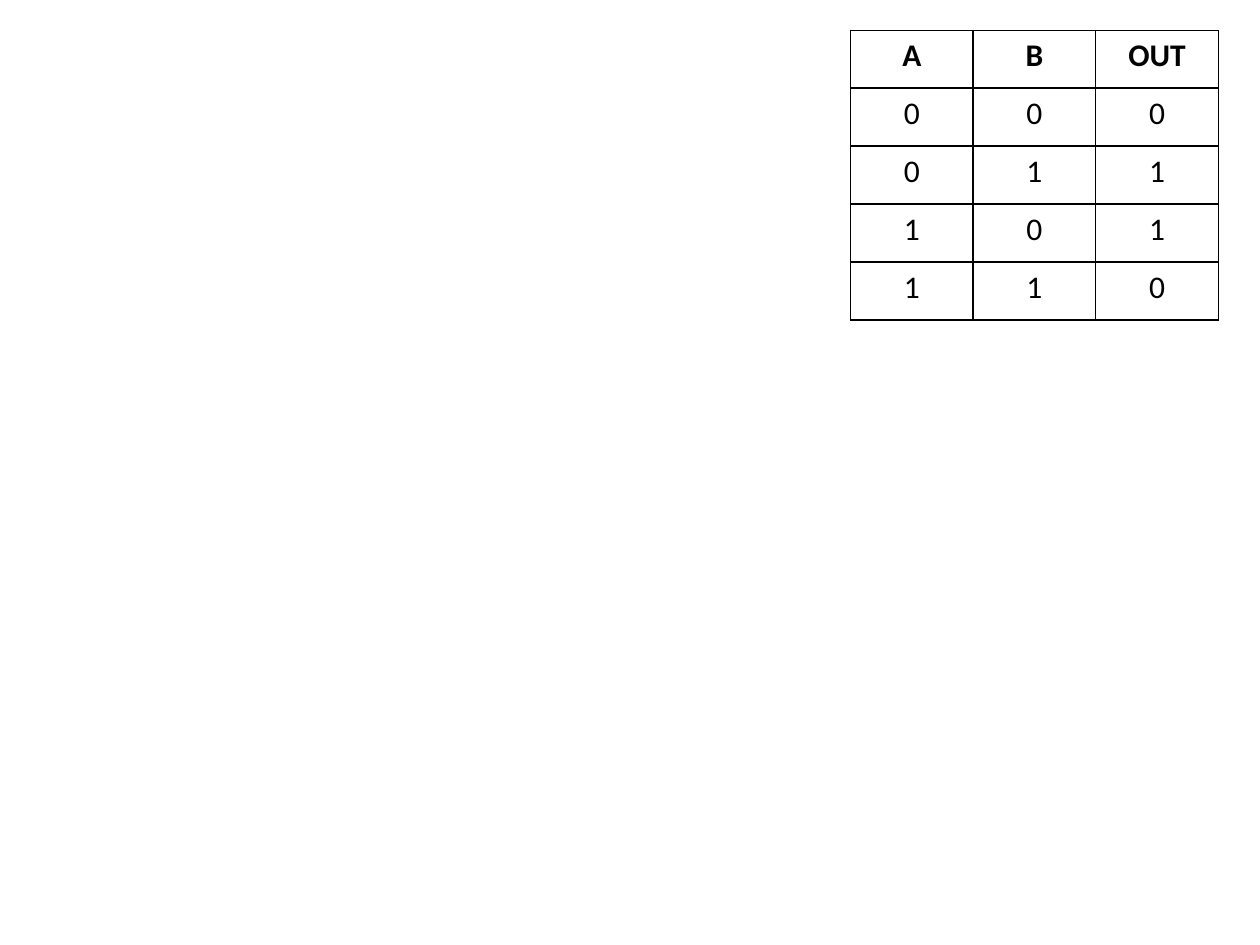
from dataclasses import dataclass

from lxml.etree import SubElement as Sub
from pptx import Presentation
from pptx.dml.color import RGBColor
from pptx.enum.text import PP_ALIGN as Align
from pptx.oxml.ns import qn
from pptx.util import Inches, Pt

BLACK = RGBColor(0, 0, 0)
FONT = "Calibri"
SIDES = ("lnL", "lnR", "lnT", "lnB")


@dataclass
class Row:
    """One row of the truth table."""
    texts: tuple[str, ...]
    bold: bool = False


ROWS = [Row(("A", "B", "OUT"), bold=True)] + [
    Row((str(a), str(b), str(a ^ b))) for a in (0, 1) for b in (0, 1)
]


def add_edges(cell) -> None:
    """Draw a one-point black line on each side of a cell."""
    props = cell._tc.get_or_add_tcPr()
    for spot, side in enumerate(SIDES):
        line = Sub(props, qn(f"a:{side}"), w=str(Pt(1)))
        fill = Sub(line, qn("a:solidFill"))
        Sub(fill, qn("a:srgbClr"), val=str(BLACK))
        props.insert(spot, line)


def fill_cell(cell, text: str, bold: bool) -> None:
    """Write centred text in a clear, bordered cell."""
    cell.fill.background()
    add_edges(cell)
    para = cell.text_frame.paragraphs[0]
    para.alignment = Align.CENTER
    run = para.add_run()
    run.text = text
    font = run.font
    font.name, font.size, font.bold = FONT, Pt(18), bold
    font.color.rgb = BLACK


def add_truth(slide, rows: list[Row]) -> None:
    """Place the truth table with equal columns and rows."""
    count = len(rows[0].texts)
    frame = slide.shapes.add_table(
        len(rows), count, Inches(6.75), Inches(0.24),
        Inches(2.92), Inches(0.46 * len(rows)),
    )
    table = frame.table
    table.first_row = table.horz_banding = False
    for line, row in zip(table.rows, rows):
        for cell, text in zip(line.cells, row.texts):
            fill_cell(cell, text, row.bold)


deck = Presentation()
deck.slide_width, deck.slide_height = Inches(10), Inches(7.5)
page = deck.slides.add_slide(deck.slide_layouts[6])
add_truth(page, ROWS)
deck.save("out.pptx")
